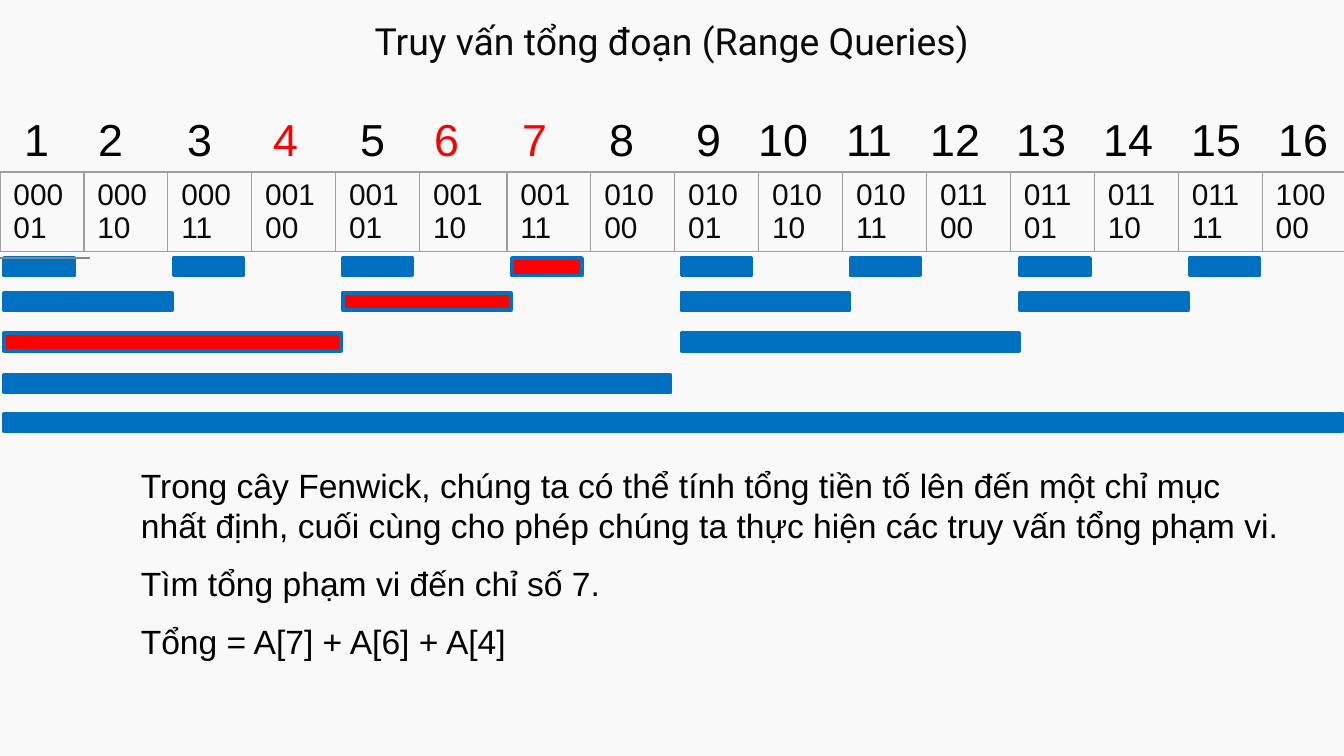
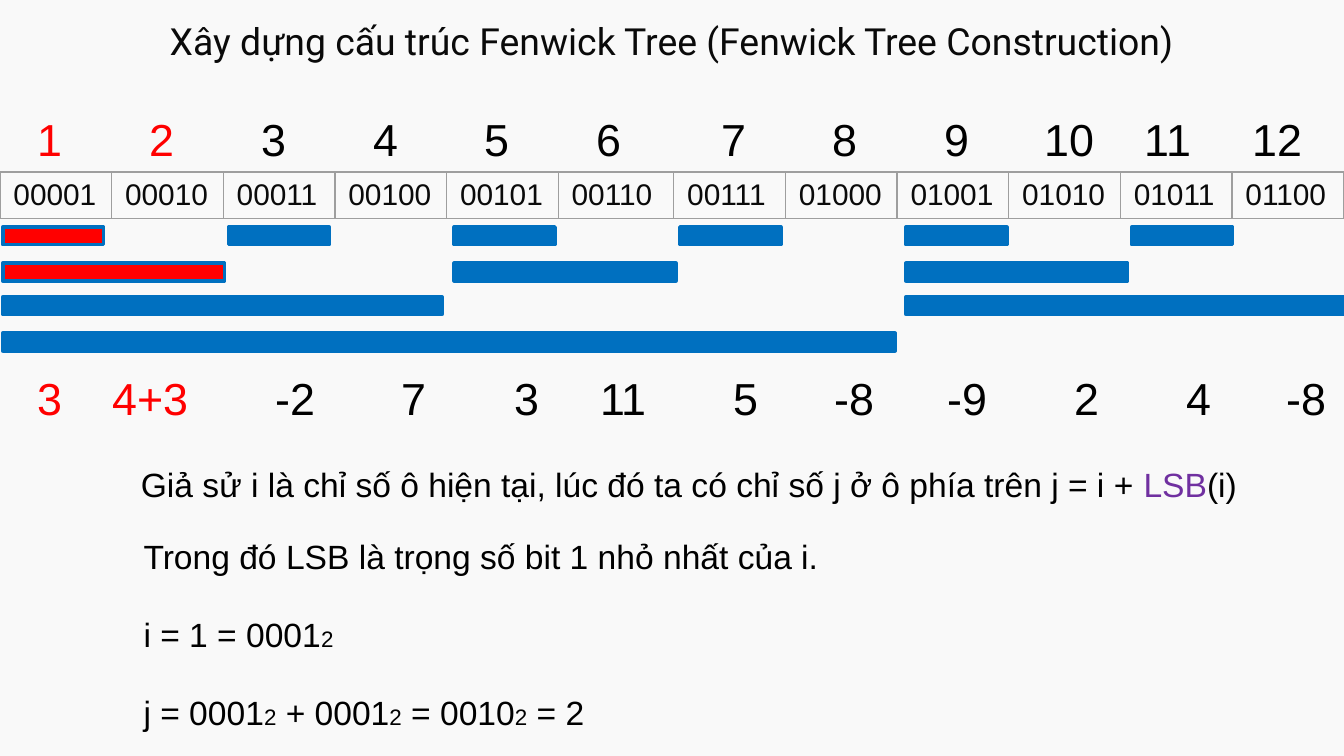
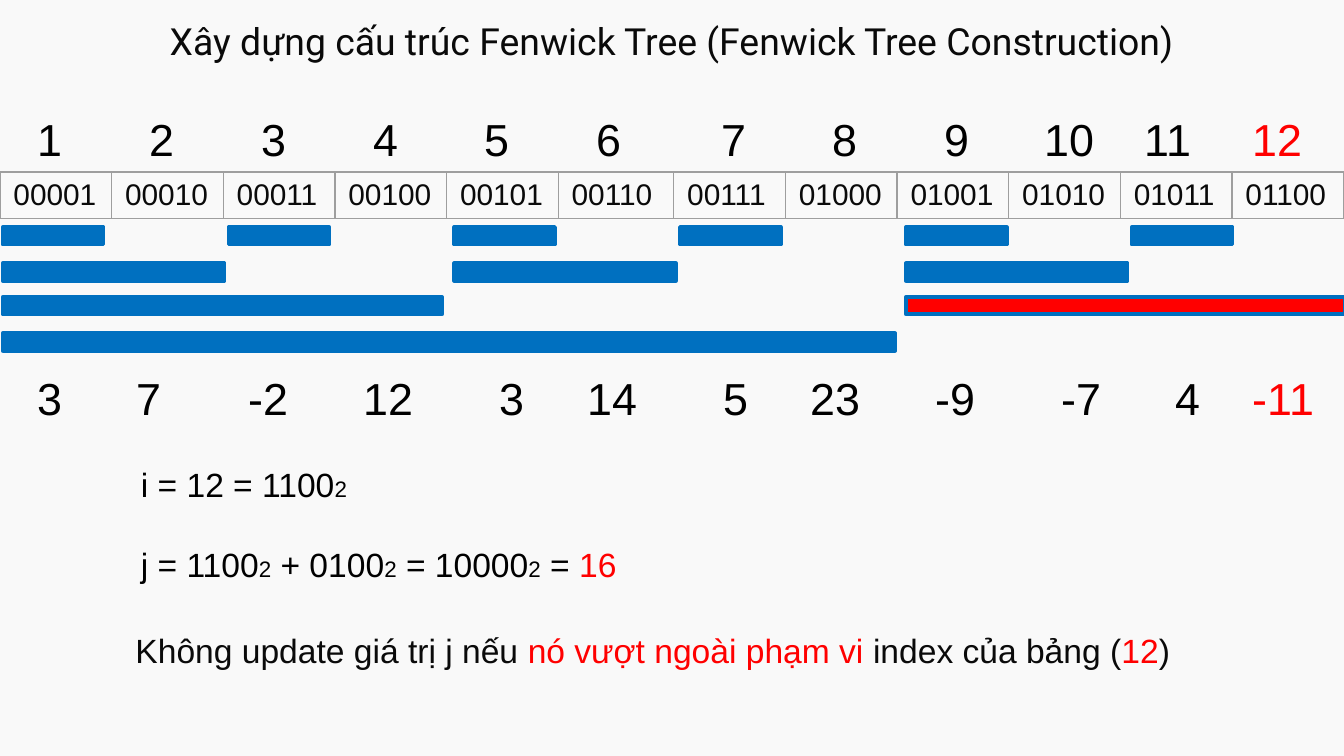
from dataclasses import dataclass

from lxml.etree import SubElement
from pptx import Presentation
from pptx.dml.color import RGBColor as RGB
from pptx.enum.shapes import MSO_CONNECTOR as CONN, MSO_SHAPE as SHAPE
from pptx.enum.text import MSO_ANCHOR as ANCHOR, MSO_AUTO_SIZE as AUTO, PP_ALIGN as ALIGN
from pptx.oxml.ns import qn
from pptx.util import Inches, Pt


@dataclass(frozen=True)
class Theme:
    paper: RGB = RGB.from_string("F9F9F9")
    ink: RGB = RGB.from_string("0A0A0A")
    black: RGB = RGB.from_string("000000")
    red: RGB = RGB.from_string("FF0000")
    violet: RGB = RGB.from_string("7030A0")
    blue: RGB = RGB.from_string("0070C0")
    rule: RGB = RGB.from_string("848584")
    border: str = "9E9E9E"
    title_font: str = "Roboto"
    body_font: str = "Arial"
    title: int = 20
    number: int = 24
    body: int = 18
    code: int = 16
    sub: int = 12


@dataclass(frozen=True)
class Tree:
    count: int
    wide_column: float
    width: float
    pitch: float
    left: float
    centres: tuple
    levels: tuple


T = Theme()
WIDTH = Inches(10)
HEIGHT = WIDTH * 9 // 16
COLUMNS = 10
INSET = 0.1
WIDE_AT = 5
BAR_HEIGHT = 0.13
INDEX_TOP, TABLE_TOP, VALUE_TOP = 0.78, 1.28, 2.71

TREE_16 = Tree(
    16, 0.65, 10.02, 0.63, 0.03,
    (0.28, 0.83, 1.49, 2.13, 2.78, 3.33, 3.98, 4.63,
     5.28, 5.83, 6.47, 7.11, 7.75, 8.4, 9.05, 9.7),
    ((1.92, 0.52), (2.18, 1.25), (2.48, 2.51), (2.79, 4.96), (3.08, 9.96)))
TREE_12 = Tree(
    12, 0.86, 10, 0.84, 0.02,
    (0.37, 1.21, 2.04, 2.87, 3.7, 4.53, 5.46, 6.29, 7.12, 7.96, 8.69, 9.51),
    ((1.69, 0.75), (1.96, 1.65), (2.21, 3.27), (2.48, 6.64)))

CONSTRUCTION = "Xây dựng cấu trúc Fenwick Tree (Fenwick Tree Construction)"
SUB_2 = ("2", {"size": T.sub})


def grid(*lengths):
    return [int(WIDTH * n / COLUMNS) for n in lengths]


def red(text):
    return text, {"color": T.red}


def set_font(font, name=None, size=None, color=None):
    if name:
        font.name = name
    if size:
        font.size = Pt(size)
    if color is not None:
        font.color.rgb = color


def add_slide(prs, title):
    s = prs.slides.add_slide(prs.slide_layouts[5])
    sp = s.shapes.title
    sp.left, sp.top, sp.width, sp.height = grid(0.78, 0, 8.44, 0.6)
    tf = sp.text_frame
    tf.auto_size = AUTO.NONE
    tf.vertical_anchor = ANCHOR.MIDDLE
    tf.margin_left, tf.margin_top, tf.margin_right, tf.margin_bottom = grid(*[INSET] * 4)
    tf.text = title
    p = tf.paragraphs[0]
    p.alignment = ALIGN.CENTER
    set_font(p.font, T.title_font, T.title, T.ink)
    return s


def add_text(s, box, *parts, size=T.body, color=T.black):
    tf = s.shapes.add_textbox(*grid(*box)).text_frame
    tf.word_wrap = True
    tf.auto_size = AUTO.SHAPE_TO_FIT_TEXT
    p = tf.paragraphs[0]
    set_font(p.font, T.body_font, size, color)
    for part in parts:
        text, style = (part, {}) if isinstance(part, str) else part
        r = p.add_run()
        r.text = text
        set_font(r.font, **style)
    return p


def add_numbers(s, top, centres, labels, hot):
    parts = [red(f"\t{label}") if i in hot else f"\t{label}"
             for i, label in enumerate(labels, 1)]
    p = add_text(s, (0, top, COLUMNS, 0.5), *parts, size=T.number)
    pPr = p._p.get_or_add_pPr()
    tabs = pPr.makeelement(qn("a:tabLst"))
    pPr.insert(0, tabs)
    for pos in grid(*(c - INSET for c in centres)):
        SubElement(tabs, qn("a:tab"), pos=str(pos), algn="ctr")


def add_borders(cell):
    tcPr = cell._tc.get_or_add_tcPr()
    for side in "LRTB":
        ln = SubElement(tcPr, qn(f"a:ln{side}"), w=str(Pt(0.75)))
        fill = SubElement(ln, qn("a:solidFill"))
        SubElement(fill, qn("a:srgbClr"), val=T.border)


def add_codes(s, tree):
    frame = s.shapes.add_table(1, tree.count, *grid(0, TABLE_TOP, tree.width, 0.24))
    table = frame.table
    table.first_row = table.horz_banding = False
    narrow = (tree.width - tree.wide_column) / (tree.count - 1)
    for i, column in enumerate(table.columns):
        column.width, = grid(tree.wide_column if i == WIDE_AT else narrow)
        cell = table.cell(0, i)
        add_borders(cell)
        cell.fill.background()
        cell.text = f"{i + 1:05b}"
        set_font(cell.text_frame.paragraphs[0].font, T.body_font, T.code, T.ink)


def add_bars(s, tree, hot):
    for i in range(1, tree.count + 1):
        lsb = i & -i
        top, width = tree.levels[lsb.bit_length() - 1]
        left = tree.left + (i - lsb) * tree.pitch
        sp = s.shapes.add_shape(SHAPE.RECTANGLE, *grid(left, top, width, BAR_HEIGHT))
        sp.shadow.inherit = False
        sp.fill.solid()
        sp.fill.fore_color.rgb = T.red if i in hot else T.blue
        sp.line.color.rgb = T.blue
        sp.line.width = Pt(2)


def add_rule(s, x1, x2, y):
    line = s.shapes.add_connector(CONN.STRAIGHT, *grid(x1, y, x2, y))
    line.line.color.rgb = T.rule
    line.line.width = Pt(0.75)
    SubElement(line._element.spPr, qn("a:effectLst"))


def add_tree(s, tree, hot):
    add_codes(s, tree)
    add_numbers(s, INDEX_TOP, tree.centres, range(1, tree.count + 1), hot)
    add_bars(s, tree, hot)


def range_queries(prs):
    s = add_slide(prs, "Truy vấn tổng đoạn (Range Queries)")
    add_tree(s, TREE_16, {4, 6, 7})
    add_rule(s, 0, 0.67, 1.92)
    add_text(s, (0.95, 3.41, 8.69, 0.71),
             "Trong cây Fenwick, chúng ta có thể tính tổng tiền tố lên đến một chỉ mục "
             "nhất định, cuối cùng cho phép chúng ta thực hiện các truy vấn tổng phạm vi.")
    add_text(s, (0.95, 4.14, 8.27, 0.4), "Tìm tổng phạm vi đến chỉ số 7.")
    add_text(s, (0.95, 4.57, 8.27, 0.4), "Tổng = A[7] + A[6] + A[4]")


def first_update(prs):
    s = add_slide(prs, CONSTRUCTION)
    hot = {1, 2}
    add_tree(s, TREE_12, hot)
    add_numbers(s, VALUE_TOP,
                (0.37, 1.12, 2.2, 3.08, 3.92, 4.64, 5.55, 6.36, 7.2, 8.09, 8.92, 9.72),
                (3, "4+3", -2, 7, 3, 11, 5, -8, -9, 2, 4, -8), hot)
    add_text(s, (0.95, 3.4, 8.69, 0.4),
             "Giả sử i là chỉ số ô hiện tại, lúc đó ta có chỉ số j ở ô phía trên j = i + ",
             ("LSB", {"color": T.violet}), "(i)")
    lines = (("Trong đó LSB là trọng số bit 1 nhỏ nhất của i.",),
             ("i = 1 = 0001", SUB_2),
             ("j = 0001", SUB_2, " + 0001", SUB_2, " = 0010", SUB_2, " = 2"))
    for row, parts in enumerate(lines):
        add_text(s, (0.97, 3.94 + row * 0.58, 8.27, 0.4), *parts)


def last_update(prs):
    s = add_slide(prs, CONSTRUCTION)
    hot = {12}
    add_tree(s, TREE_12, hot)
    add_numbers(s, VALUE_TOP,
                (0.37, 1.11, 2, 2.89, 3.81, 4.56, 5.48, 6.22, 7.11, 8.05, 8.84, 9.55),
                (3, 7, -2, 12, 3, 14, 5, 23, -9, -7, 4, -11), hot)
    add_text(s, (0.95, 3.4, 8.69, 0.4), "i = 12 = 1100", SUB_2)
    add_text(s, (0.95, 4, 8.27, 0.4),
             "j = 1100", SUB_2, " + 0100", SUB_2, " = 10000", SUB_2, " = ", red("16"))
    add_text(s, (0.91, 4.64, 8.27, 0.4),
             "Không update giá trị j nếu ", red("nó vượt ngoài phạm vi "),
             "index của bảng (", red("12"), ")", color=T.ink)


def main():
    prs = Presentation()
    prs.slide_width, prs.slide_height = WIDTH, HEIGHT
    fill = prs.slide_master.background.fill
    fill.solid()
    fill.fore_color.rgb = T.paper
    range_queries(prs)
    first_update(prs)
    last_update(prs)
    prs.save("out.pptx")


if __name__ == "__main__":
    main()
